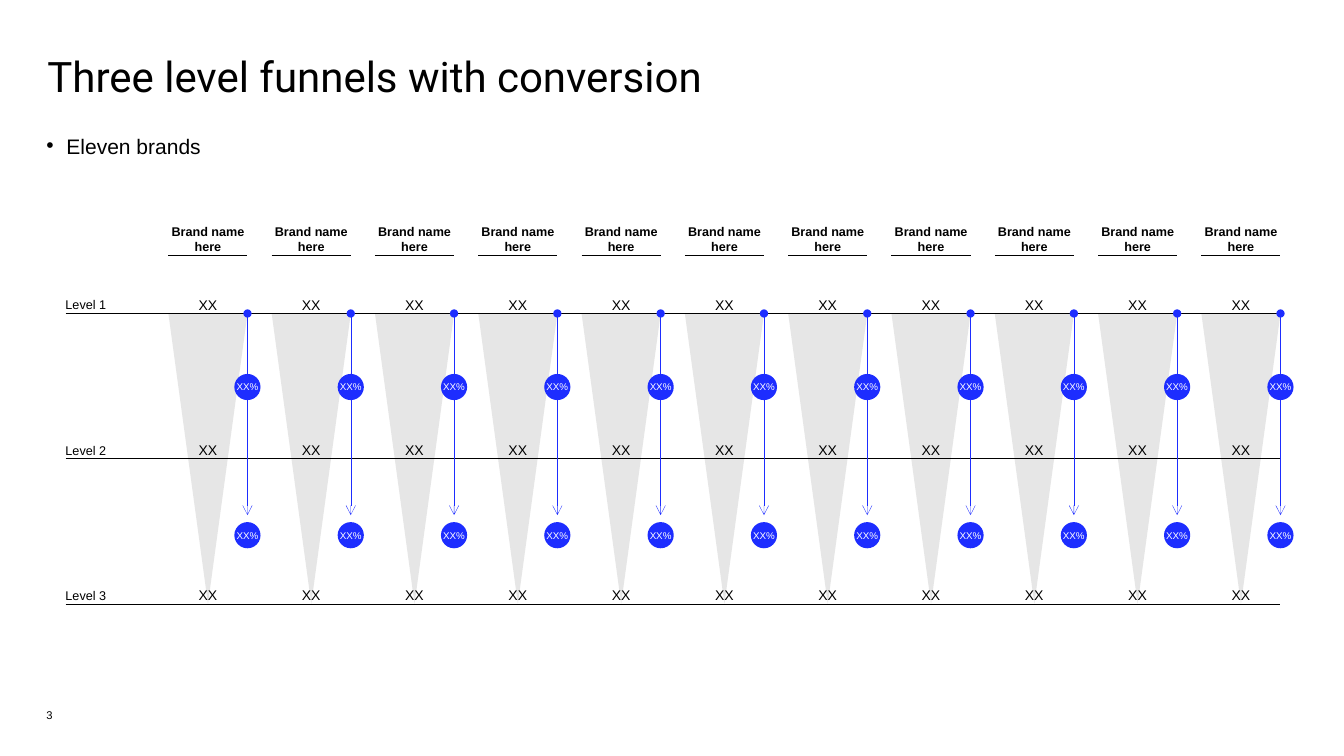
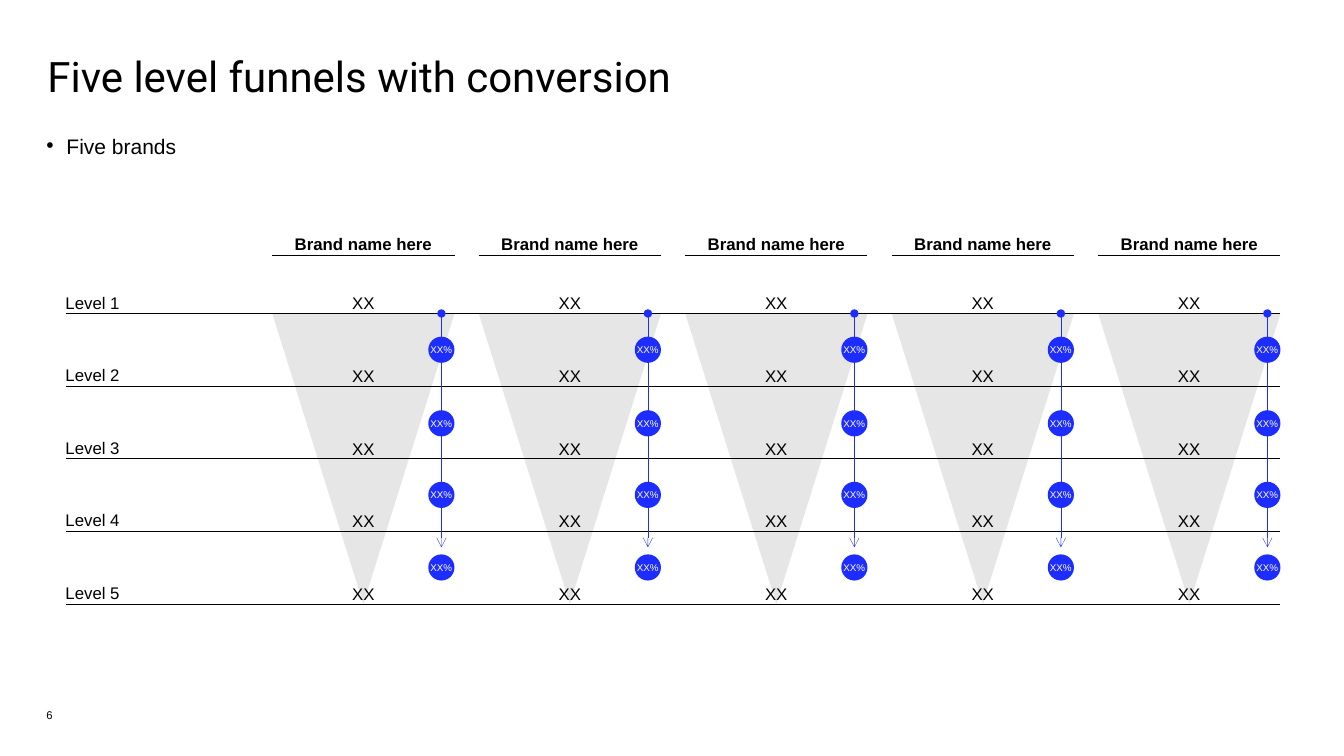
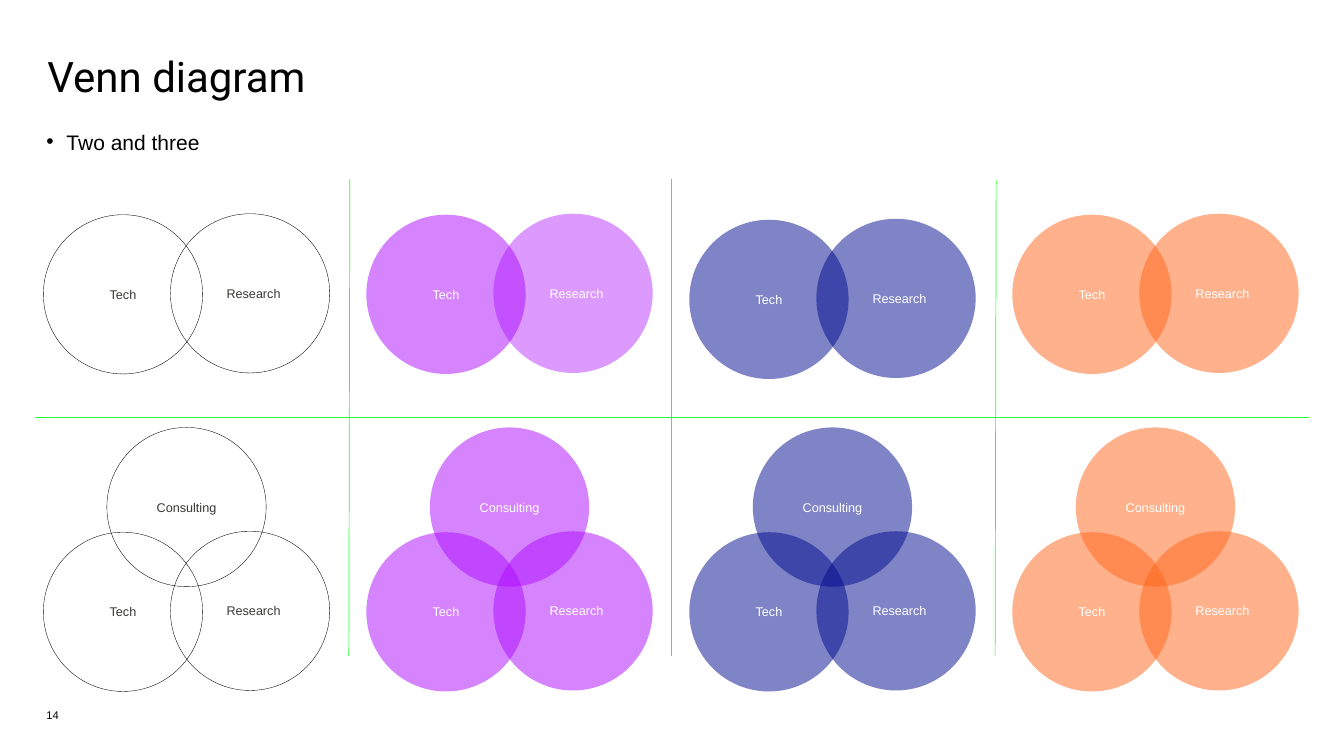
"""Builds two funnel slides and one Venn slide."""
from lxml import etree
from pptx import Presentation
from pptx.dml.color import RGBColor
from pptx.enum.shapes import MSO_CONNECTOR, MSO_SHAPE
from pptx.enum.text import MSO_ANCHOR, MSO_AUTO_SIZE, PP_ALIGN
from pptx.oxml.ns import qn
from pptx.util import Pt

LINE = MSO_CONNECTOR.STRAIGHT
OVAL, WEDGE = MSO_SHAPE.OVAL, MSO_SHAPE.ISOSCELES_TRIANGLE
TOP, MID, BASE = MSO_ANCHOR.TOP, MSO_ANCHOR.MIDDLE, MSO_ANCHOR.BOTTOM
LEFT, CENTER = PP_ALIGN.LEFT, PP_ALIGN.CENTER
FIXED = MSO_AUTO_SIZE.NONE

PX = 9144
WIDE, HIGH = 1333, 750
PLAIN = "{2D5ABB26-0587-4C30-8999-92F81FD0307C}"
HUES = {
    "ink": "000000", "soft": "383836", "white": "FFFFFF", "grey": "E6E6E6",
    "blue": "1D2DFF", "green": "24FF2E", "plum": "AD0BFE", "lilac": "BA34FE",
    "navy": "000A8E", "coral": "FF651A",
}

EDGE, END = 65, 1270
FIRST, LAST = 311, 599
RULE, GAP, DOT = 253, 24, 26
FUNNELS = [
    {"title": "Three level funnels with conversion", "note": "Eleven brands",
     "page": "3", "brands": 11, "levels": 3, "left": 155, "head": 36,
     "dots": (384, 531), "inset": 0, "size": 9, "mark": 10, "row": 15,
     "lines": 2},
    {"title": "Five level funnels with conversion", "note": "Five brands",
     "page": "6", "brands": 5, "levels": 5, "left": 258, "head": 24,
     "dots": (347, 420, 491, 563), "inset": 13, "size": 12, "mark": 12,
     "row": 20, "lines": 1},
]

VENN = {"title": "Venn diagram", "note": "Two and three", "page": "14"}
ROUND = 158
RINGS = [("Research", 126, 0, 7), ("Tech", 0, 1, 0), ("Consulting", 63, -103, 0)]
SETS = [(None, None, 0), ("lilac", "plum", 0), ("navy", "navy", 5),
        ("coral", "coral", 0)]
VENN_X, VENN_END = 43, 1004
UPPER, LOWER = 212, 527
CUTS = [(35, 414, 1298, 414), (347, 178, 346, 651), (666, 178, 666, 651),
        (988, 179, 987, 651)]


def emu(*vals):
    return [round(val * PX) for val in vals]


def rgb(hue):
    return RGBColor.from_string(HUES[hue])


def put(obj, vals):
    for key, val in vals.items():
        setattr(obj, key, val)


def write(frame, text, size, hue="ink", font="Arial", bold=False, align=LEFT,
          anchor=TOP, wrap=True, pad=(0, 0, 0, 0)):
    sides = ("margin_left", "margin_top", "margin_right", "margin_bottom")
    put(frame, {"auto_size": FIXED, "word_wrap": wrap, "vertical_anchor": anchor})
    put(frame, dict(zip(sides, emu(*pad))))
    return fill_in(frame, text, size, hue, font, bold, align)


def fill_in(frame, text, size, hue, font, bold, align):
    para = frame.paragraphs[0]
    para.alignment = align
    run = para.add_run()
    run.text = text
    put(run.font, {"size": Pt(size), "name": font, "bold": bold})
    run.font.color.rgb = rgb(hue)
    return para


def label(slide, box, text, size, **form):
    area = slide.shapes.add_textbox(*emu(*box))
    return write(area.text_frame, text, size, **form)


def draw(shapes, kind, box, fill=None, clear=None):
    shape = shapes.add_shape(kind, *emu(*box))
    shape.shadow.inherit = False
    if fill:
        shape.fill.solid()
        shape.fill.fore_color.rgb = rgb(fill)
        shape.line.fill.background()
    else:
        shape.fill.background()
        shape.line.color.rgb = rgb("ink")
        shape.line.width = Pt(0.25)
    if clear:
        tone = shape.fill._xPr.find(".//" + qn("a:srgbClr"))
        etree.SubElement(tone, qn("a:alpha"), val=str(clear * 1000))
    return shape


def rule(shapes, ends, hue="ink", width=0.25, tips=()):
    line = shapes.add_connector(LINE, *emu(*ends))
    line.line.color.rgb = rgb(hue)
    line.line.width = Pt(width)
    stroke = line.line._get_or_add_ln()
    for tag, tip in tips:
        etree.SubElement(stroke, qn(tag), type=tip)
    etree.SubElement(line._element.spPr, qn("a:effectLst"))


def start(deck, data, top):
    slide = deck.slides.add_slide(deck.slide_layouts[5])
    title = slide.shapes.title
    put(title, dict(zip(("left", "top", "width", "height"), emu(47, 56, 1240, 48))))
    write(title.text_frame, data["title"], 30, font="Roboto").line_spacing = 0.9
    label(slide, (46, 703, 71, 20), data["page"], 8)
    note = label(slide, (46, top, 876, 48), data["note"], 15)
    note.space_after = Pt(10)
    props = note._p.get_or_add_pPr()
    put_xml = {"marL": str(20 * PX), "indent": str(-20 * PX)}
    for key, val in put_xml.items():
        props.set(key, val)
    etree.SubElement(props, qn("a:buFont"), typeface="Arial")
    etree.SubElement(props, qn("a:buChar"), char="•")
    return slide


def grid(slide, data, pitch, step):
    rows, cols = data["levels"], data["brands"]
    box = (data["left"], FIRST - data["head"], pitch * cols,
           data["head"] + LAST - FIRST)
    table = slide.shapes.add_table(rows, cols, *emu(*box)).table
    put(table, {"first_row": False, "horz_banding": False})
    table._tbl.tblPr.find(qn("a:tableStyleId")).text = PLAIN
    for col in table.columns:
        col.width = round(pitch * PX)
    for num, row in enumerate(table.rows):
        row.height = round((step if num else data["head"]) * PX)
    for cell in table.iter_cells():
        cell.fill.background()
        put(cell, {"vertical_anchor": BASE, "margin_top": 4 * PX,
                   "margin_bottom": 0})
        fill_in(cell.text_frame, "XX", data["mark"], "ink", "Arial", False, CENTER)


def funnel(deck, data):
    slide = start(deck, data, 132)
    shapes = slide.shapes
    pitch = (END + GAP / 2 - data["left"]) / data["brands"]
    step = (LAST - FIRST) / (data["levels"] - 1)
    span = pitch - GAP
    lefts = [data["left"] + GAP / 2 + num * pitch for num in range(data["brands"])]
    for left in lefts:
        draw(shapes, WEDGE, (left, FIRST, span, LAST - FIRST), "grey").rotation = 180
    grid(slide, data, pitch, step)
    for num in range(data["levels"]):
        y = FIRST + num * step
        label(slide, (EDGE, y - data["row"] - 1, 96, data["row"]),
              f"Level {num + 1}", data["size"])
        rule(shapes, (EDGE, y, END, y))
    tall = data["row"] * data["lines"]
    for left in lefts:
        label(slide, (left, RULE - 1 - tall, span, tall), "Brand name here",
              data["size"], bold=True, align=CENTER)
        rule(shapes, (left, RULE, left + span, RULE))
        flow(shapes.add_group_shape().shapes, left + span - data["inset"],
             data["dots"])


def flow(shapes, x, dots):
    rule(shapes, (x, FIRST, x, dots[-1] - 20), "blue",
         tips=(("a:headEnd", "oval"), ("a:tailEnd", "arrow")))
    for y in dots:
        dot = draw(shapes, OVAL, (x - DOT / 2, y - DOT / 2, DOT, DOT), "blue")
        write(dot.text_frame, "XX%", 7, "white", align=CENTER, anchor=MID, wrap=False)


def cluster(shapes, x, y, rings, fills):
    for (name, right, down, shift), fill in zip(rings, fills):
        ring = draw(shapes, OVAL, (x + right, y + down, ROUND, ROUND), fill,
                    50 if fill else None)
        write(ring.text_frame, name, 9, "white" if fill else "soft", align=CENTER,
              anchor=MID, wrap=False, pad=(4 + shift, 5, 4, 5))


def venn(deck):
    slide = start(deck, VENN, 128)
    for ends in CUTS:
        rule(slide.shapes, ends, "green", 0.5)
    pitch = (VENN_END - VENN_X) / (len(SETS) - 1)
    for num, (light, main, drop) in enumerate(SETS):
        x = VENN_X + num * pitch
        for y, rings, fills in ((UPPER + drop, RINGS[:2], (light, main)),
                                (LOWER, RINGS, (main,) * 3)):
            cluster(slide.shapes.add_group_shape().shapes, x, y, rings, fills)


def main():
    deck = Presentation()
    put(deck, dict(zip(("slide_width", "slide_height"), emu(WIDE, HIGH))))
    for data in FUNNELS:
        funnel(deck, data)
    venn(deck)
    deck.save("out.pptx")


if __name__ == "__main__":
    main()
